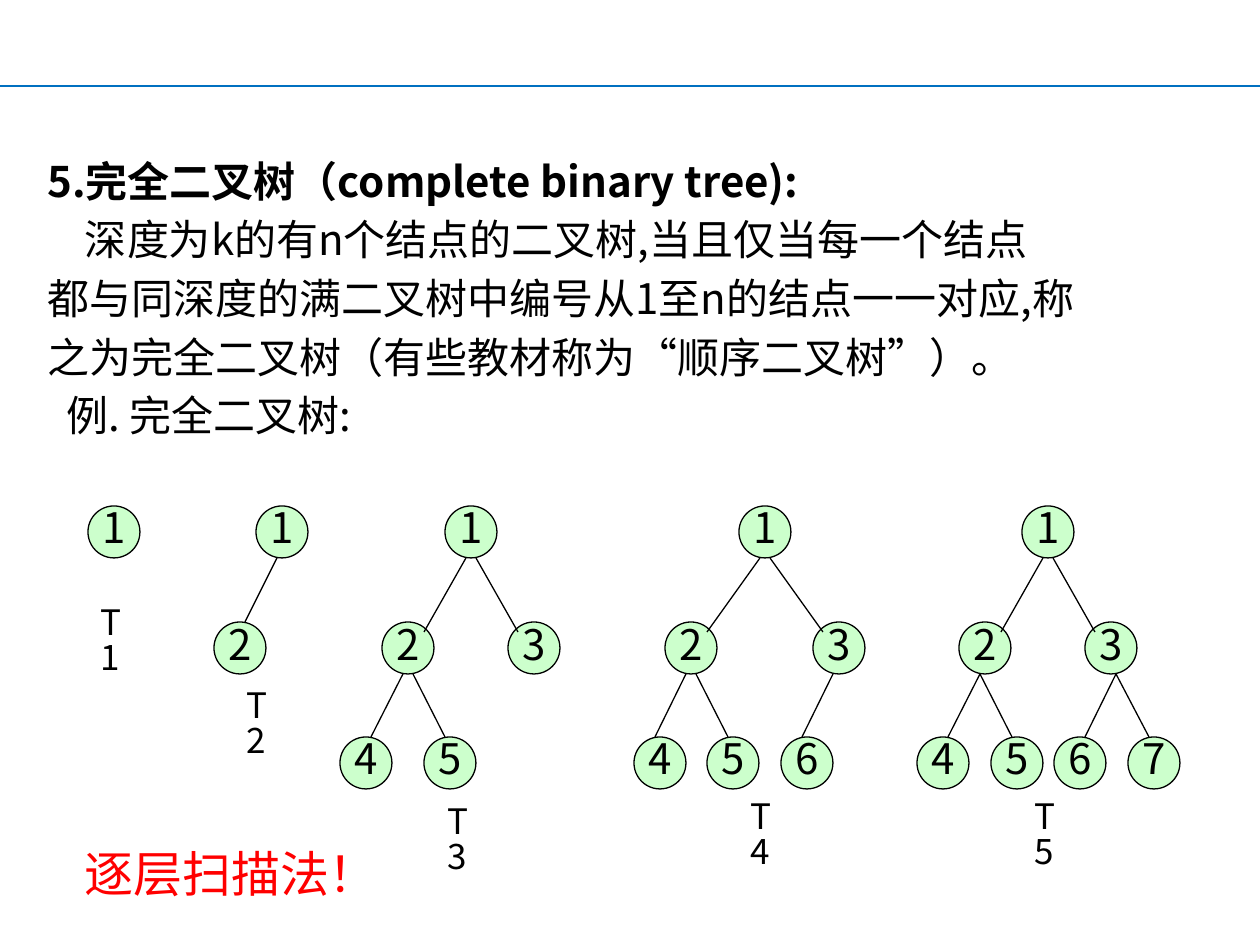
"""Build a slide that defines complete binary trees and shows five examples."""
from typing import NamedTuple, Optional

from lxml import etree
from pptx import Presentation, util as u
from pptx.dml.color import RGBColor
from pptx.enum import shapes, text
from pptx.oxml.ns import qn

FONT = "Noto Sans CJK SC"
COLORS = {"rule": "0070C0", "node": "CCFFCC", "ink": "000000", "accent": "FF0000"}
DIAMETER = 52
LEVELS = (532, 648, 763)
SIDE_DROP = 10


class Node(NamedTuple):
    x: int
    edge_from: int = 0
    edge_to: int = 0


class Tree(NamedTuple):
    label: str
    label_x: int
    label_y: int
    nodes: tuple[Node, ...]


TREES = (
    Tree("T1", 88, 601, (Node(114),)),
    Tree("T2", 234, 684, (Node(282), Node(240, 277, 245))),
    Tree("T3", 435, 800, (
        Node(471), Node(408, 466, 424), Node(534, 476, 518),
        Node(366, 403, 371), Node(450, 413, 445))),
    Tree("T4", 738, 795, (
        Node(765), Node(691, 760, 707), Node(839, 770, 823),
        Node(660, 686, 655), Node(733, 696, 728), Node(807, 833, 802))),
    Tree("T5", 1022, 795, (
        Node(1048), Node(985, 1043, 1001), Node(1111, 1053, 1095),
        Node(943, 980, 948), Node(1017, 980, 1012),
        Node(1080, 1116, 1085), Node(1154, 1116, 1149))),
)

DEFINITION = (
    "5.完全二叉树（complete binary tree):",
    "    深度为k的有n个结点的二叉树,当且仅当每一个结点",
    "都与同深度的满二叉树中编号从1至n的结点一一对应,称",
    "之为完全二叉树（有些教材称为“顺序二叉树”）。",
    "  例. 完全二叉树:",
)


def px(n: float) -> u.Emu:
    return u.Emu(round(n * 914400 / 126))


def rgb(name: str) -> RGBColor:
    return RGBColor.from_string(COLORS[name])


def add_run(p, words: str, size: int, color: str = "ink", bold: bool = False) -> None:
    r = p.add_run()
    r.text = words
    r.font.size = u.Pt(size)
    r.font.bold = bold
    r.font.name = FONT
    r.font.color.rgb = rgb(color)
    etree.SubElement(r.font._element, qn("a:ea")).set("typeface", FONT)


def add_text(s, x: int, y: int, w: int, h: int, lines: tuple[str, ...], size: int,
             pitch: float, color: str = "ink", heading: Optional[str] = None,
             hang: int = 0, top: int = 6) -> None:
    tf = s.shapes.add_textbox(px(x), px(y), px(w), px(h)).text_frame
    tf.word_wrap = True
    tf.margin_top = px(top)
    for i, line in enumerate(lines):
        p = tf.paragraphs[0] if i == 0 else tf.add_paragraph()
        p.line_spacing = u.Pt(pitch)
        if hang:
            p_pr = p._p.get_or_add_pPr()
            p_pr.set("marL", str(px(hang)))
            p_pr.set("indent", str(-px(hang)))
        add_run(p, line, size, color, line == heading)


def add_line(s, x1: int, y1: int, x2: int, y2: int, color: str = "ink",
             width: float = 0.75) -> None:
    line = s.shapes.add_connector(
        shapes.MSO_CONNECTOR.STRAIGHT, px(x1), px(y1), px(x2), px(y2))
    line.line.color.rgb = rgb(color)
    line.line.width = u.Pt(width)
    etree.SubElement(line._element.spPr, qn("a:effectLst"))


def add_node(s, x: int, y: int, number: int) -> None:
    r = DIAMETER // 2
    sp = s.shapes.add_shape(
        shapes.MSO_SHAPE.OVAL, px(x - r), px(y - r), px(DIAMETER), px(DIAMETER))
    sp.shadow.inherit = False
    sp.fill.solid()
    sp.fill.fore_color.rgb = rgb("node")
    sp.line.color.rgb = rgb("ink")
    sp.line.width = u.Pt(0.75)
    tf = sp.text_frame
    tf.word_wrap = False
    tf.vertical_anchor = text.MSO_ANCHOR.MIDDLE
    p = tf.paragraphs[0]
    p.alignment = text.PP_ALIGN.CENTER
    p.line_spacing = 0.8
    add_run(p, str(number), 24)


def add_tree(s, tree: Tree) -> None:
    r = DIAMETER // 2
    for number, node in enumerate(tree.nodes, 1):
        depth = number.bit_length() - 1
        y = LEVELS[depth]
        add_node(s, node.x, y, number)
        if depth:
            meets_side = abs(node.edge_to - node.x) > r // 2
            end_y = y - r + (SIDE_DROP if meets_side else 0)
            add_line(s, node.edge_from, LEVELS[depth - 1] + r, node.edge_to, end_y)
    add_text(s, tree.label_x, tree.label_y, 63, 47, (tree.label,), 20, 20)


def main() -> None:
    prs = Presentation()
    prs.slide_width, prs.slide_height = px(1260), px(945)
    s = prs.slides.add_slide(prs.slide_layouts[6])
    add_line(s, 0, 86, 1260, 86, "rule", 1.5)
    add_text(s, 35, 145, 1167, 381, DEFINITION, 24, 33.5,
             heading=DEFINITION[0], hang=48, top=2)
    for tree in TREES:
        add_tree(s, tree)
    add_text(s, 72, 833, 381, 72, ("逐层扫描法！",), 28, 36, "accent")
    prs.save("out.pptx")


if __name__ == "__main__":
    main()
